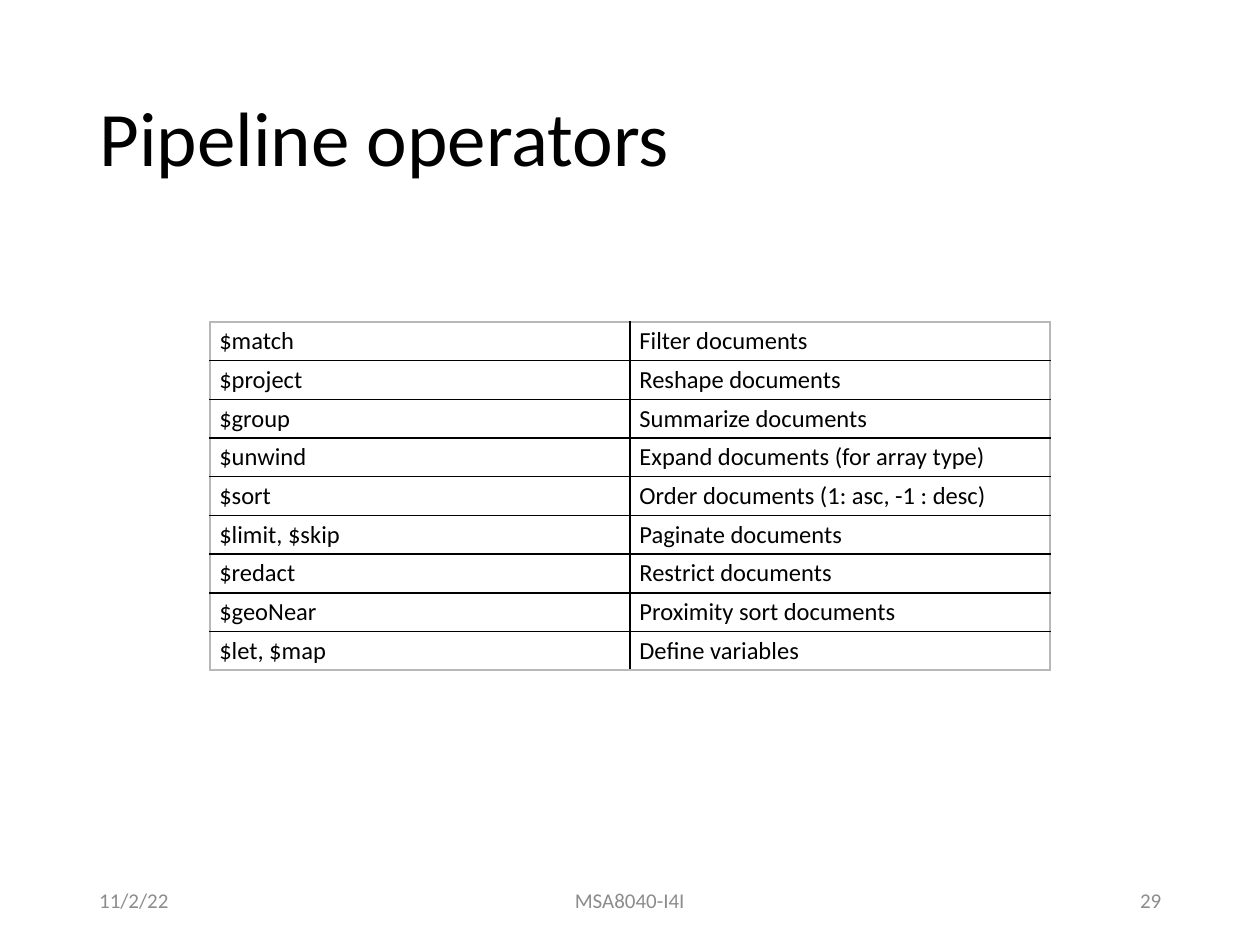
from lxml.etree import SubElement
from pptx import Presentation
from pptx.dml.color import RGBColor
from pptx.enum.text import MSO_ANCHOR as Anchor, PP_ALIGN as Align
from pptx.oxml.ns import qn
from pptx.util import Cm, Pt

BLACK = RGBColor(0x00, 0x00, 0x00)
GREY = RGBColor(0x8C, 0x8C, 0x8C)
SILVER = RGBColor(0xB8, 0xB8, 0xB8)
WHITE = RGBColor(0xFF, 0xFF, 0xFF)

OPERATORS = [
    ("$match", "Filter documents"),
    ("$project", "Reshape documents"),
    ("$group", "Summarize documents"),
    ("$unwind", "Expand documents (for array type)"),
    ("$sort", "Order documents (1: asc, -1 : desc)"),
    ("$limit, $skip", "Paginate documents"),
    ("$redact", "Restrict documents"),
    ("$geoNear", "Proximity sort documents"),
    ("$let, $map", "Define variables"),
]


class SlideBuilder:
    font = "Calibri"

    def __init__(self, page):
        self.page = page
        page.background.fill.solid()
        page.background.fill.fore_color.rgb = WHITE

    def add_text(self, frame, text, size, color, align=Align.LEFT):
        para = frame.paragraphs[0]
        para.alignment = align
        span = para.add_run()
        span.text = text
        span.font.name = self.font
        span.font.size = Pt(size)
        span.font.color.rgb = color
        return para

    def title(self, text, left, top, width, height):
        box = self.page.shapes.title
        box.left, box.top, box.width, box.height = map(Cm, (left, top, width, height))
        box.text_frame.vertical_anchor = Anchor.MIDDLE
        self.add_text(box.text_frame, text, 44, BLACK).line_spacing = 0.9

    def footer(self, text, left, width, align):
        box = self.page.shapes.add_textbox(Cm(left), Cm(17.65), Cm(width), Cm(1.01))
        box.text_frame.word_wrap = True
        box.text_frame.vertical_anchor = Anchor.MIDDLE
        self.add_text(box.text_frame, text, 12, GREY, align)

    def border(self, cell, side, color):
        line = SubElement(cell._tc.get_or_add_tcPr(), qn(f"a:{side}"), w=str(Pt(1)))
        fill = SubElement(line, qn("a:solidFill"))
        SubElement(fill, qn("a:srgbClr"), val=str(color))

    def table(self, rows, left, top, column_width, row_height):
        row_count, column_count = len(rows), len(rows[0])
        frame = self.page.shapes.add_table(
            row_count, column_count, Cm(left), Cm(top),
            Cm(column_width * column_count), Cm(row_height * row_count))
        table = frame.table
        table.first_row = table.horz_banding = False
        for row in table.rows:
            row.height = Cm(row_height)
        for r, texts in enumerate(rows):
            for c, text in enumerate(texts):
                cell = table.cell(r, c)
                cell.margin_left = cell.margin_right = Cm(0.19)
                cell.margin_top = cell.margin_bottom = Cm(0.09)
                self.add_text(cell.text_frame, text, 14, BLACK)
                outer = {"lnL": c == 0, "lnR": c == column_count - 1,
                         "lnT": r == 0, "lnB": r == row_count - 1}
                for side, is_outer in outer.items():
                    self.border(cell, side, SILVER if is_outer else BLACK)
                cell.fill.background()


def main():
    deck = Presentation()
    deck.slide_width, deck.slide_height = Cm(25.4), Cm(19.05)
    builder = SlideBuilder(deck.slides.add_slide(deck.slide_layouts[5]))
    builder.title("Pipeline operators", 1.75, 1.01, 21.91, 3.68)
    builder.footer("11/2/22", 1.75, 5.72, Align.LEFT)
    builder.footer("MSA8040-I4I", 8.41, 8.57, Align.CENTER)
    builder.footer("29", 17.94, 5.72, Align.RIGHT)
    builder.table(OPERATORS, 4.23, 6.49, 8.47, 0.78)
    deck.save("out.pptx")


if __name__ == "__main__":
    main()
